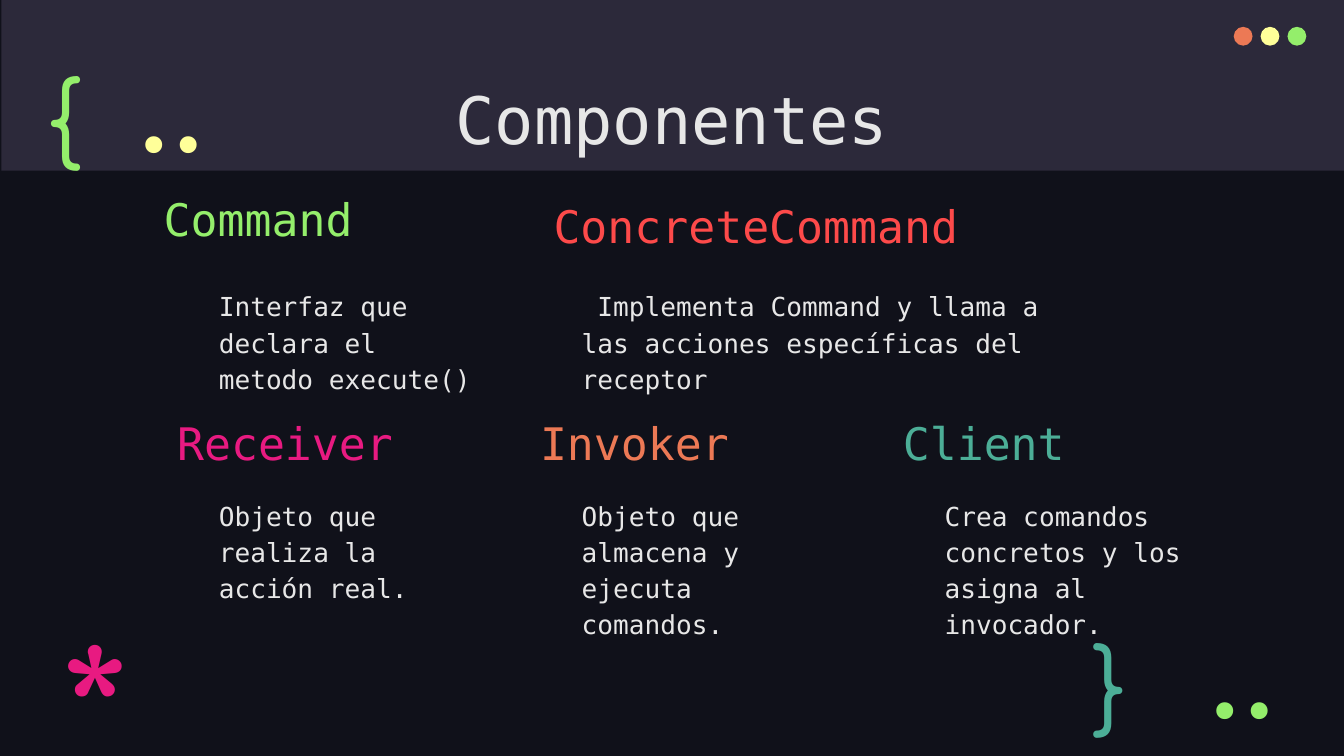
from pptx import Presentation
from pptx.dml.color import RGBColor
from pptx.enum.shapes import MSO_SHAPE
from pptx.enum.text import MSO_ANCHOR, MSO_AUTO_SIZE, PP_ALIGN
from pptx.util import Inches, Pt

RECT, OVAL = MSO_SHAPE.RECTANGLE, MSO_SHAPE.OVAL
TOP, MIDDLE, BOTTOM = MSO_ANCHOR.TOP, MSO_ANCHOR.MIDDLE, MSO_ANCHOR.BOTTOM
LEFT, CENTER, RIGHT = PP_ALIGN.LEFT, PP_ALIGN.CENTER, PP_ALIGN.RIGHT
NO_FIT = MSO_AUTO_SIZE.NONE

MONO, ROUND, CODE = "DejaVu Sans Mono", "Comfortaa", "Fira Code"
COLORS = {
    "night": "10111A", "band": "2C293A", "text": "E7E7E7",
    "green": "94EE6B", "red": "FD4A4A", "pink": "E81A81",
    "orange": "EC7955", "teal": "4CAE97", "yellow": "FFFF99",
}


def rgb(name):
    return RGBColor.from_string(COLORS[name])


def put_text(slide, text, box, *, size=14, color="text", font=MONO,
             align=LEFT, anchor=TOP, spacing=None, holder=None):
    """Write text in a new box, or in the given placeholder moved to the box."""
    left, top, width, height = map(Inches, box)
    if holder is None:
        holder = slide.shapes.add_textbox(left, top, width, height)
    else:
        holder.left, holder.top = left, top
        holder.width, holder.height = width, height
    frame = holder.text_frame
    frame.word_wrap = True
    frame.auto_size = NO_FIT
    frame.vertical_anchor = anchor
    frame.margin_left = frame.margin_right = Inches(0.1)
    frame.margin_top = frame.margin_bottom = Inches(0.1)
    frame.text = text
    paragraph = frame.paragraphs[0]
    paragraph.alignment = align
    if spacing:
        paragraph.line_spacing = spacing
    run_font = paragraph.runs[0].font
    run_font.name, run_font.size = font, Pt(size)
    run_font.color.rgb = rgb(color)


def put_shape(slide, kind, box, color):
    shape = slide.shapes.add_shape(kind, *map(Inches, box))
    shape.shadow.inherit = False
    shape.fill.solid()
    shape.fill.fore_color.rgb = rgb(color)
    shape.line.fill.background()
    return shape


def header(slide, left, top, width, height):
    """Band with title, opening brace and window buttons."""
    title = slide.shapes.title
    band = put_shape(slide, RECT, (left, top, width, height), "band")
    title.element.addprevious(band.element)  # band lies behind the title
    put_text(slide, "Componentes", (left + 0.78, top + 0.49, 8.42, 0.63),
             size=35, align=CENTER, holder=title)
    put_text(slide, "{", (left + 0.24, top + 0.32, 0.77, 0.95),
             size=50, color="green", font=ROUND)
    put_text(slide, "..", (left + 0.72, top + 0.56, 1.07, 0.6),
             size=50, color="yellow", font=CODE, align=RIGHT, anchor=MIDDLE)
    for i, color in enumerate(("orange", "yellow", "green")):
        put_shape(slide, OVAL,
                  (left + 9.17 + i * 0.2, top + 0.2, 0.14, 0.14), color)


def component(slide, left, top, width, height, name, description, color,
              name_dx=-0.31, name_dy=0, name_width=2.16, name_height=0.54):
    """Description in the box, with its coloured name standing above."""
    put_text(slide, name,
             (left + name_dx, top + name_dy - name_height,
              name_width, name_height),
             size=24, color=color, anchor=BOTTOM, spacing=1.15)
    put_text(slide, description, (left, top, width, height), spacing=1.15)


def components(slide, left, top):
    """Two rows of components on a shared column grid."""
    column_step, row_step, width, height = 2.7, 1.56, 2.17, 0.96
    component(slide, left, top, width, height, "Command",
              "Interfaz que declara el metodo execute()", "green",
              name_dx=-0.41, name_dy=-0.1, name_height=0.65)
    component(slide, left + column_step, top, 3.95, height, "ConcreteCommand",
              " Implementa Command y llama a las acciones específicas "
              "del receptor", "red",
              name_dx=-0.21, name_dy=-0.05, name_width=3.49, name_height=0.65)
    second_row = (
        ("Receiver", "Objeto que realiza la acción real.", "pink"),
        ("Invoker", "Objeto que almacena y ejecuta comandos.", "orange"),
        ("Client", "Crea comandos concretos y los asigna al invocador.",
         "teal"),
    )
    for i, entry in enumerate(second_row):
        component(slide, left + i * column_step, top + row_step,
                  width, height, *entry)


def footer(slide, left, top):
    """Asterisk, closing brace and trailing dots."""
    put_text(slide, "}", (left + 7.68, top + 0.13, 0.57, 0.83),
             size=50, color="teal", font=ROUND)
    put_text(slide, "..", (left + 8.35, top + 0.36, 1.07, 0.6),
             size=50, color="green", font=CODE, align=RIGHT, anchor=MIDDLE)
    put_text(slide, "*", (left, top, 0.57, 0.87),
             size=96, color="pink", font=ROUND)


def main():
    deck = Presentation()
    deck.slide_width = Inches(10)
    deck.slide_height = deck.slide_width * 9 // 16  # widescreen
    slide = deck.slides.add_slide(deck.slide_layouts[5])  # title only
    slide.background.fill.solid()
    slide.background.fill.fore_color.rgb = rgb("night")
    header(slide, 0.01, 0, 10, 1.27)
    components(slide, 1.53, 2.03)
    footer(slide, 0.35, 4.41)
    deck.save("out.pptx")


if __name__ == "__main__":
    main()
